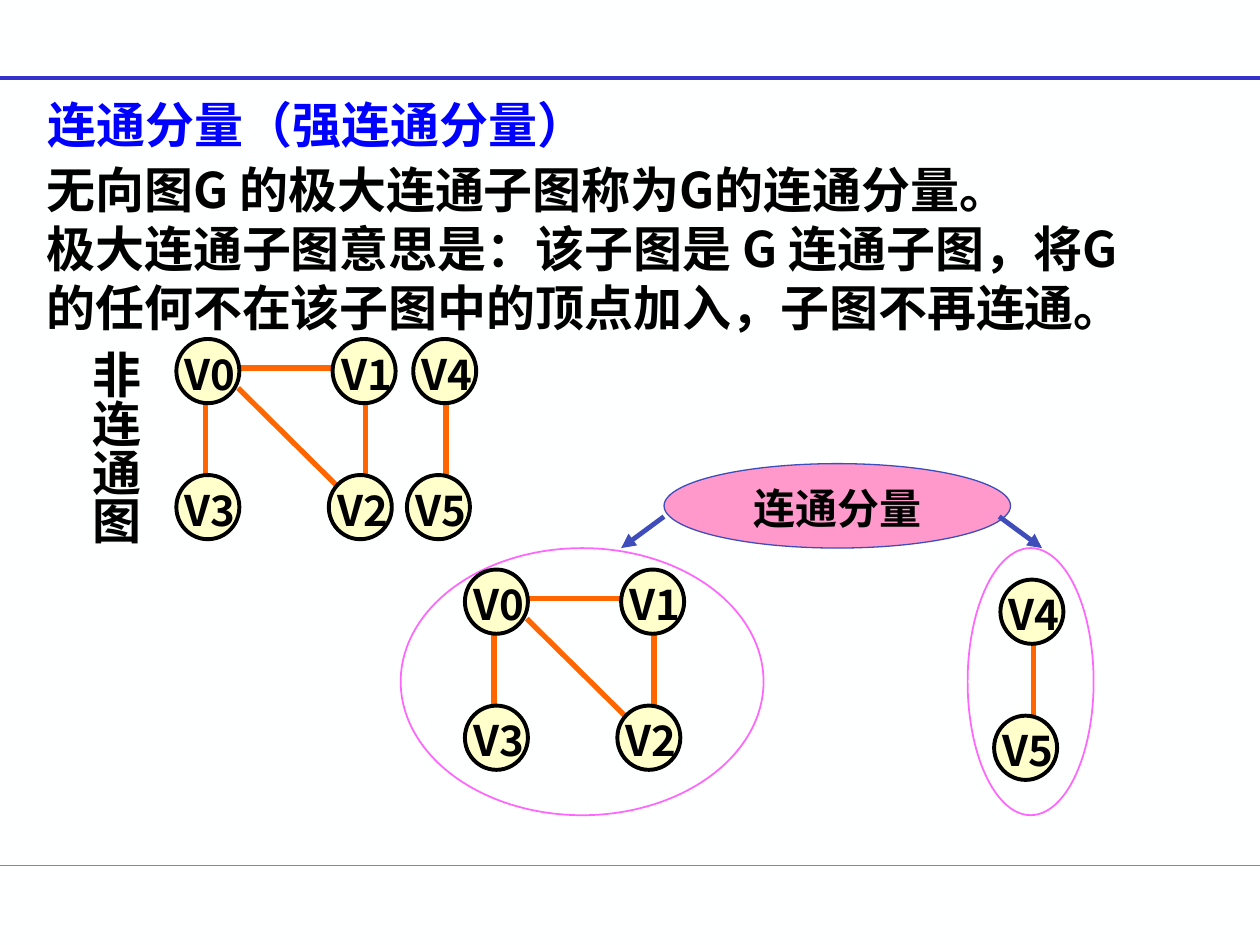
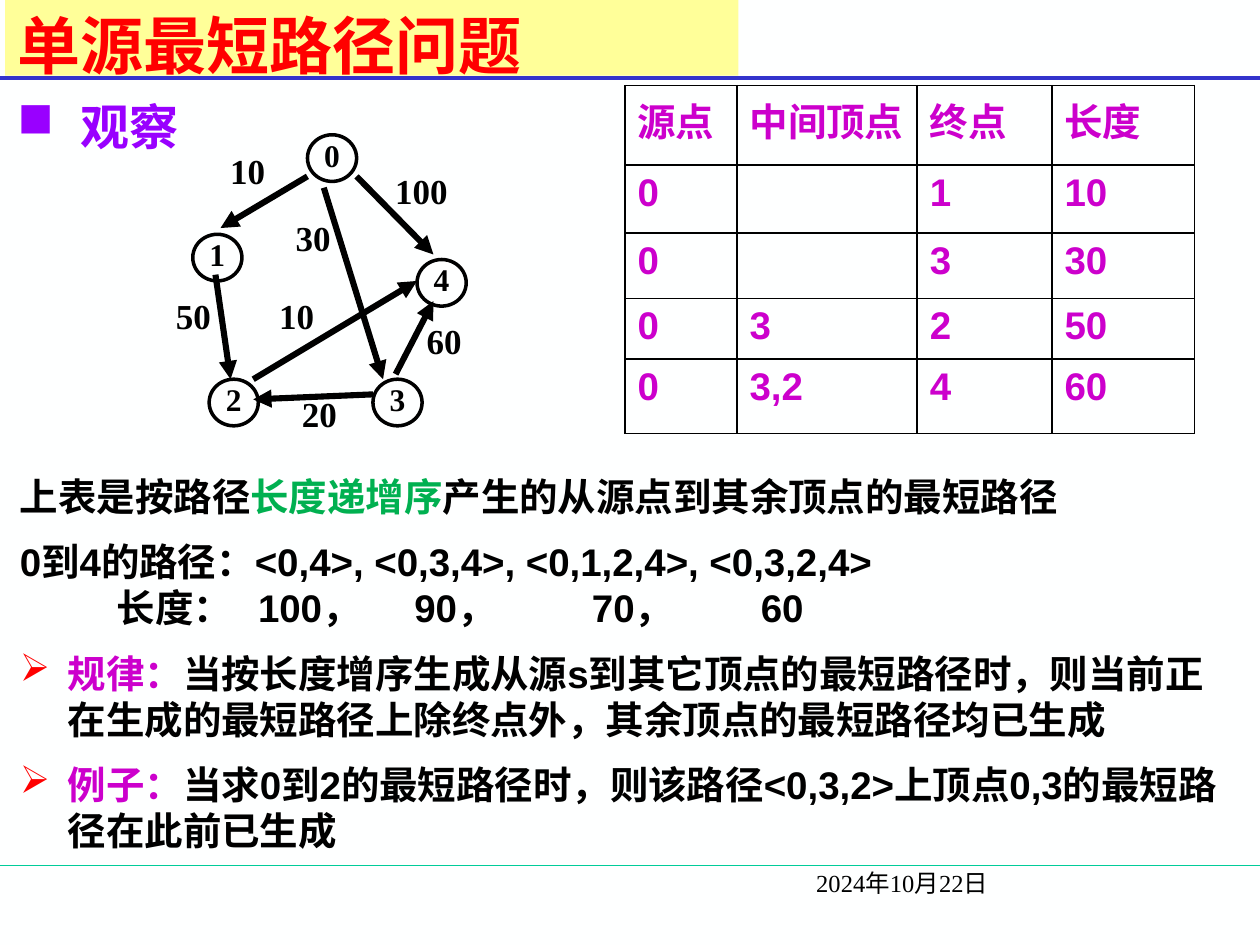
from dataclasses import dataclass
from typing import Optional

from lxml.etree import SubElement
from pptx import Presentation
from pptx.dml.color import RGBColor
from pptx.enum.shapes import MSO_CONNECTOR as Connector, MSO_SHAPE as Preset
from pptx.enum.text import MSO_ANCHOR as Anchor, MSO_AUTO_SIZE as AutoSize, PP_ALIGN as Align
from pptx.oxml.ns import qn
from pptx.util import Inches, Pt

# Grid: 100 columns by 75 rows, every position below is counted in cells
COLUMNS, ROWS = 100, 75
CELL = Inches(10) // COLUMNS
CJK, TIMES, ARIAL = "Noto Sans CJK SC", "Times New Roman", "Arial"
BLACK, PAPER, PURPLE, RED = "000000", "FEFFFF", "CC00CC", "FF0000"
ORANGE, PINK, INDIGO = "FF6600", "FF66FF", "3E4DBA"
CJK_PITCH = 1.2   # line pitch as a share of the text size
CJK_DROP = 0.1    # extra top inset as a share of the text size


@dataclass(frozen=True)
class Area:
    left: float
    top: float
    width: float
    height: float

    def emu(self) -> list[int]:
        return [cells(n) for n in (self.left, self.top, self.width, self.height)]


@dataclass(frozen=True)
class Style:
    size: float
    color: str = BLACK
    font: str = CJK
    bold: bool = True


@dataclass(frozen=True)
class Para:
    spans: tuple[tuple[str, Optional[str]], ...]   # wording and colour
    after: float = 0
    bullet: str = ""
    bullet_color: str = ""
    indent: float = 0
    tabs: tuple[float, ...] = ()


@dataclass(frozen=True)
class Node:
    label: str
    x: float
    y: float


@dataclass(frozen=True)
class Edge:
    x1: float
    y1: float
    x2: float
    y2: float


@dataclass(frozen=True)
class Graph:
    nodes: tuple[Node, ...]
    edges: tuple[Edge, ...]


def cells(count: float) -> int:
    return round(count * CELL)


def rgb(value: str) -> RGBColor:
    return RGBColor.from_string(value)


def plain(*words: str) -> list[Para]:
    return [Para(((word, None),)) for word in words]


# Text
def add_span(para, words: str, style: Style, color: Optional[str] = None) -> None:
    span = para.add_run()
    span.text = words
    span.font.size, span.font.bold = Pt(style.size), style.bold
    span.font.color.rgb = rgb(color or style.color)
    span.font.name = style.font
    SubElement(span.font._element, qn("a:ea"), typeface=CJK)


def format_para(para, item: Para) -> None:
    props = para._p.get_or_add_pPr()
    if item.bullet:
        props.set("marL", str(cells(item.indent)))
        props.set("indent", str(-cells(item.indent)))
        if item.bullet_color:
            SubElement(SubElement(props, qn("a:buClr")), qn("a:srgbClr"), val=item.bullet_color)
        SubElement(props, qn("a:buChar"), char=item.bullet)
    if item.tabs:
        stops = SubElement(props, qn("a:tabLst"))
        for stop in item.tabs:
            SubElement(stops, qn("a:tab"), pos=str(cells(stop)), algn="l")
    para.space_before, para.space_after = Pt(0), Pt(item.after)


def write(frame, items: list[Para], style: Style, align=Align.LEFT, anchor=Anchor.TOP,
          wrap: bool = True, spacing: Optional[float] = None, inset: float = 0.5) -> None:
    """Fill a frame; without a spacing share the lines get the fixed CJK pitch."""
    frame.auto_size, frame.word_wrap = AutoSize.NONE, wrap
    frame.vertical_anchor = anchor
    drop = 0 if spacing else Pt(CJK_DROP * style.size)
    frame.margin_top, frame.margin_bottom = cells(inset) + drop, cells(inset)
    frame.margin_left = frame.margin_right = cells(1)
    for number, item in enumerate(items):
        para = frame.add_paragraph() if number else frame.paragraphs[0]
        format_para(para, item)
        para.alignment = align
        para.line_spacing = spacing or Pt(CJK_PITCH * style.size)
        for words, color in item.spans:
            for row, line in enumerate(words.split("\n")):
                if row:
                    para.add_line_break()
                add_span(para, line, style, color)


def add_text(page, area: Area, items: list[Para], style: Style):
    box = page.shapes.add_textbox(*area.emu())
    write(box.text_frame, items, style)
    return box


# Shapes and lines
def add_outline(page, preset, area: Area, line: str, weight: float, fill: Optional[str] = None):
    shape = page.shapes.add_shape(preset, *area.emu())
    shape.shadow.inherit = False
    shape.line.color.rgb, shape.line.width = rgb(line), Pt(weight)
    if fill:
        shape.fill.solid()
        shape.fill.fore_color.rgb = rgb(fill)
    else:
        shape.fill.background()
    return shape


def add_line(page, edge: Edge, color: str, weight: float, arrow: bool = False,
             x: float = 0, y: float = 0) -> None:
    ends = (x + edge.x1, y + edge.y1, x + edge.x2, y + edge.y2)
    line = page.shapes.add_connector(Connector.STRAIGHT, *map(cells, ends))
    line.line.color.rgb, line.line.width = rgb(color), Pt(weight)
    if arrow:
        SubElement(line.line._get_or_add_ln(), qn("a:tailEnd"), type="triangle")
    SubElement(line.element.spPr, qn("a:effectLst"))


# Shared page frame: background, two rules and a title
def add_page(deck, title: str, area: Area, style: Style, band: Optional[str] = None,
             inset: float = 0.5):
    page = deck.slides.add_slide(deck.slide_layouts[5])
    page.background.fill.solid()
    page.background.fill.fore_color.rgb = rgb(PAPER)
    add_line(page, Edge(0, 68.7, COLUMNS, 68.7), "00CC99", 0.75)
    add_line(page, Edge(0, 6.2, COLUMNS, 6.2), "3333CC", 2.25)
    heading = page.shapes.title
    heading.left, heading.top, heading.width, heading.height = area.emu()
    if band:
        heading.fill.solid()
        heading.fill.fore_color.rgb = rgb(band)
    write(heading.text_frame, plain(title), style, inset=inset)
    return page


# Slide 1: connected components
TRIANGLE = Graph(
    (Node("V0", 0, 0), Node("V1", 12.4, 0), Node("V2", 12.1, 10.8), Node("V3", 0, 10.8)),
    (Edge(4.9, 3.9, 13.2, 12.1), Edge(2.3, 4.9, 2.3, 11.3),
     Edge(5, 2.3, 12.8, 2.3), Edge(15, 4.9, 15, 11.3)))
PAIR = Graph((Node("V4", 0, 0), Node("V5", -0.5, 10.8)), (Edge(2.6, 4.5, 2.6, 10.9),))


def add_component(page, graph: Graph, x: float, y: float) -> None:
    for edge in graph.edges:
        add_line(page, edge, ORANGE, 3, x=x, y=y)
    for node in graph.nodes:
        circle = add_outline(page, Preset.OVAL, Area(x + node.x, y + node.y, 5, 5.1),
                             BLACK, 2.25, "FFFFCC")
        write(circle.text_frame, plain(node.label), Style(24), Align.CENTER,
              Anchor.MIDDLE, wrap=False, inset=0)
        circle.text_frame.margin_left, circle.text_frame.margin_right = cells(0.4), 0


def build_components(deck) -> None:
    page = add_page(deck, "连通分量（强连通分量）", Area(2.8, 6.6, 60, 5.7),
                    Style(28, "0000FF", "DejaVu Sans"))
    add_text(page, Area(2.7, 11.8, 90, 15), plain(
        "无向图G 的极大连通子图称为G的连通分量。\n"
        "极大连通子图意思是：该子图是 G 连通子图，将G 的任何不在该子图中的顶点加入，子图不再连通。"),
        Style(28))
    side = add_text(page, Area(5.3, 26.8, 6.7, 20.8), plain("非连通图"), Style(28))
    side.text_frame.margin_top = cells(0.5)
    side.element.txBody.bodyPr.set("vert", "eaVert")

    for ring in (Area(31.8, 43.5, 28.8, 21.2), Area(76.8, 43.5, 10, 21.2)):
        add_outline(page, Preset.OVAL, ring, PINK, 1)
    for graph, x, y in ((TRIANGLE, 14, 26.9), (PAIR, 32.8, 26.9),
                        (TRIANGLE, 36.9, 45.2), (PAIR, 79.4, 46)):
        add_component(page, graph, x, y)

    callout = add_outline(page, Preset.OVAL, Area(52.7, 36.8, 27.5, 6.7), INDIGO, 0.75, "FF99CC")
    write(callout.text_frame, plain("连通分量"), Style(24, font=TIMES), Align.CENTER,
          Anchor.MIDDLE, wrap=False)
    for pointer in (Edge(52.7, 41, 49.3, 43.5), Edge(79.3, 41, 82.7, 43.5)):
        add_line(page, pointer, INDIGO, 2.75, arrow=True)


# Slide 2: single-source shortest paths
WEIGHTS = (Node("20", 22.3, 31.3), Node("60", 32.2, 25.5), Node("50", 12.3, 23.5),
           Node("10", 20.5, 23.5), Node("100", 30, 13.6), Node("10", 16.6, 12),
           Node("30", 21.8, 17.3))
ROUTES = Graph(
    (Node("0", 24.4, 10.7), Node("1", 15.3, 18.6), Node("3", 29.6, 30.1),
     Node("2", 16.6, 30.1), Node("4", 33.1, 20.6)),
    (Edge(24.4, 14, 17.5, 18.1), Edge(17.1, 21.8, 18.3, 30.1), Edge(28.3, 14, 34.4, 20.2),
     Edge(29.6, 31.3, 20.1, 31.7), Edge(31.4, 29.7, 34.4, 23.9),
     Edge(20.1, 30.1, 33.1, 22.3), Edge(25.7, 14.9, 30.4, 30.1)))
PATH_TABLE = (("源点", "中间顶点", "终点", "长度"), ("0", "", "1", "10"), ("0", "", "3", "30"),
              ("0", "3", "2", "50"), ("0", "3,2", "4", "60"))
TABLE_COLUMNS = (8.9, 14.3, 10.7, 11.3)
TABLE_ROWS = (6.3, 5.4, 5.2, 4.8, 5.9)


def rule(title: str, words: str) -> Para:
    return Para(((title, PURPLE), (words, None)), 11, "➢", RED, 3.8)


NOTES = [
    Para((("上表是按路径", None), ("长度递增序", "00B050"),
          ("产生的从源点到其余顶点的最短路径", None)), 11),
    Para((("0到4的路径：<0,4>, <0,3,4>, <0,1,2,4>, <0,3,2,4>", None),)),
    Para((("\t长度：\t100，\t90，\t70，\t60", None),), 11, tabs=(7.7, 18.9, 31.3, 45.4, 58.8)),
    rule("规律：", "当按长度增序生成从源s到其它顶点的最短路径时，则当前正在生成的最短路径上除终点外，"
                "其余顶点的最短路径均已生成"),
    rule("例子：", "当求0到2的最短路径时，则该路径<0,3,2>上顶点0,3的最短路径在此前已生成"),
]


def add_routes(page) -> None:
    for weight in WEIGHTS:
        width = 6.9 if len(weight.label) > 2 else 6.1
        label = add_outline(page, Preset.RECTANGLE, Area(weight.x, weight.y, width, 3.7), PAPER, 2)
        write(label.text_frame, plain(weight.label), Style(20, font=TIMES), Align.CENTER,
              spacing=0.8)
    for node in ROUTES.nodes:
        circle = add_outline(page, Preset.OVAL, Area(node.x, node.y, 3.9, 3.7), BLACK, 2)
        write(circle.text_frame, plain(node.label), Style(18, font=TIMES), Align.CENTER,
              Anchor.MIDDLE, wrap=False, spacing=0.8)
    for edge in ROUTES.edges:
        add_line(page, edge, BLACK, 3.5, arrow=True)


def add_path_table(page) -> None:
    area = Area(49.6, 6.8, sum(TABLE_COLUMNS), sum(TABLE_ROWS))
    table = page.shapes.add_table(len(TABLE_ROWS), len(TABLE_COLUMNS), *area.emu()).table
    table.first_row = table.horz_banding = False
    for column, width in zip(table.columns, TABLE_COLUMNS):
        column.width = cells(width)
    for row, height, words in zip(table.rows, TABLE_ROWS, PATH_TABLE):
        row.height = cells(height)
        for cell, word in zip(row.cells, words):
            props = cell._tc.get_or_add_tcPr()
            for side in ("lnL", "lnR", "lnT", "lnB"):
                border = SubElement(props, qn(f"a:{side}"), w=str(Pt(1)))
                SubElement(SubElement(border, qn("a:solidFill")), qn("a:srgbClr"), val=BLACK)
            cell.fill.background()
            if word:
                add_span(cell.text_frame.paragraphs[0], word, Style(22, PURPLE, ARIAL))


def build_shortest_paths(deck) -> None:
    page = add_page(deck, "单源最短路径问题", Area(0.4, 0, 58.2, 6), Style(36, RED),
                    band="FFFF99", inset=0)
    add_text(page, Area(63.8, 68.2, 34.6, 5), plain("2024年10月22日"),
             Style(14, font=TIMES, bold=False))
    add_text(page, Area(0.4, 6.8, 45, 5.7), [Para((("观察", None),), bullet="■", indent=5)],
             Style(28, "9900FF"))
    add_routes(page)
    add_path_table(page)
    add_text(page, Area(0.6, 36.7, 98, 33.2), NOTES, Style(22, font=ARIAL))


def main() -> None:
    deck = Presentation()
    deck.slide_width, deck.slide_height = cells(COLUMNS), cells(ROWS)
    build_components(deck)
    build_shortest_paths(deck)
    deck.save("out.pptx")


if __name__ == "__main__":
    main()
